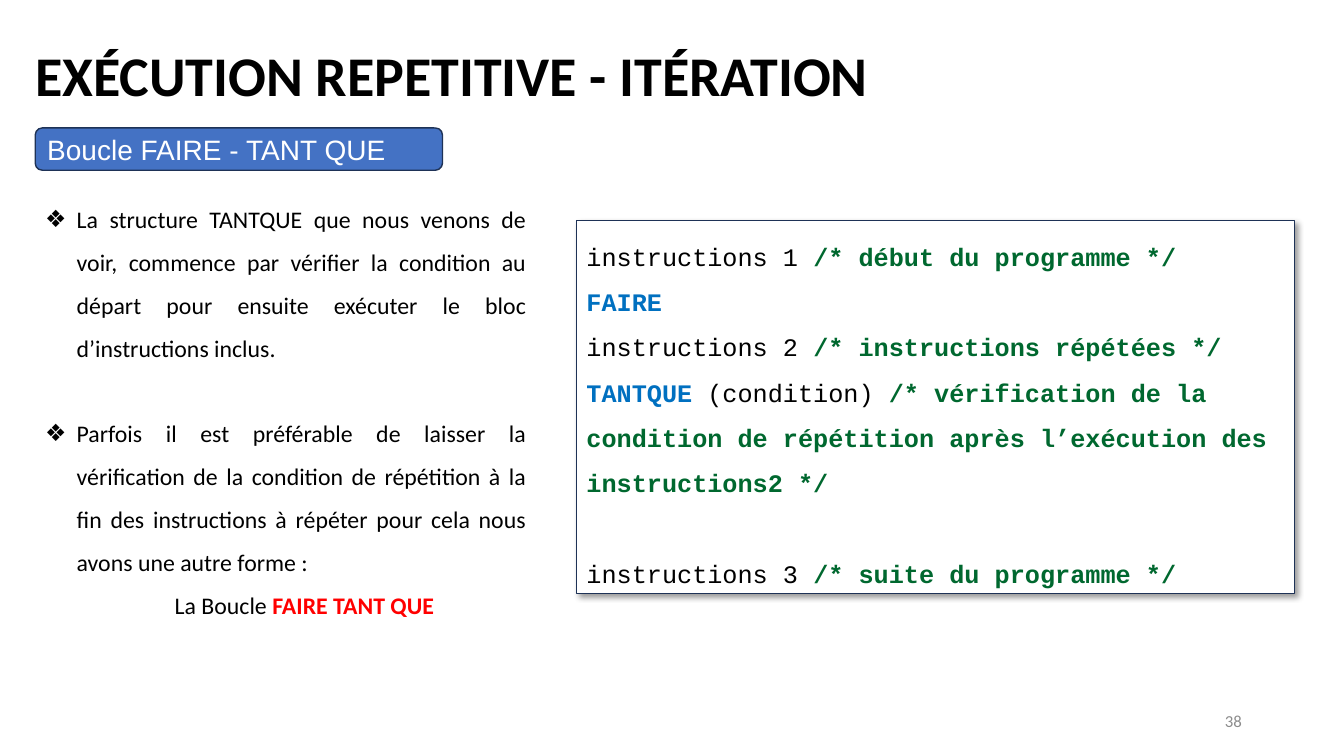
from dataclasses import dataclass

from lxml import etree
from pptx import Presentation
from pptx.dml.color import RGBColor
from pptx.enum.shapes import MSO_SHAPE
from pptx.enum.text import MSO_ANCHOR, MSO_AUTO_SIZE, PP_ALIGN
from pptx.oxml.ns import qn
from pptx.util import Pt

LEFT, CENTER, RIGHT = PP_ALIGN.LEFT, PP_ALIGN.CENTER, PP_ALIGN.RIGHT
JUSTIFY = PP_ALIGN.JUSTIFY
TOP, MIDDLE = MSO_ANCHOR.TOP, MSO_ANCHOR.MIDDLE
RECTANGLE, ROUNDED = MSO_SHAPE.RECTANGLE, MSO_SHAPE.ROUNDED_RECTANGLE
TITLE_ONLY = 5

BLACK, WHITE, RED = "000000", "FFFFFF", "FF0000"
GREY, GREEN, KEYWORD_BLUE = "8C8C8C", "00682F", "0070C0"
PILL_BLUE, NAVY = "4472C4", "1E3256"


@dataclass
class Run:
    text: str
    color: str = BLACK
    bold: bool = False


@dataclass
class Paragraph:
    runs: list[Run]
    align: PP_ALIGN = LEFT
    line_spacing: float = 1.0
    space_before: float = 0
    indent: float = 0
    bullet: str = ""


@dataclass
class Block:
    box: tuple[float, float, float, float]
    font: str
    size: float
    paragraphs: list[Paragraph]
    anchor: MSO_ANCHOR = TOP


@dataclass
class Panel:
    geometry: MSO_SHAPE
    fill: str
    line_width: float
    block: Block


def rgb(color: str) -> RGBColor:
    return RGBColor.from_string(color)


def place(shape, box: tuple[float, float, float, float]) -> None:
    for name, value in zip(("left", "top", "width", "height"), box):
        setattr(shape, name, Pt(value))


def add_bullet(paragraph, character: str, indent: float) -> None:
    properties = paragraph._p.get_or_add_pPr()
    properties.set("indent", str(-Pt(indent)))
    etree.SubElement(properties, qn("a:buFont")).set("typeface", "Arial")
    etree.SubElement(properties, qn("a:buChar")).set("char", character)


def write_text(shape, block: Block) -> None:
    frame = shape.text_frame
    frame_format = {"word_wrap": True, "auto_size": MSO_AUTO_SIZE.NONE,
                    "vertical_anchor": block.anchor}
    for name, value in frame_format.items():
        setattr(frame, name, value)
    for index, item in enumerate(block.paragraphs):
        paragraph = frame.add_paragraph() if index else frame.paragraphs[0]
        paragraph_format = {"alignment": item.align,
                            "line_spacing": item.line_spacing,
                            "space_before": Pt(item.space_before)}
        for name, value in paragraph_format.items():
            setattr(paragraph, name, value)
        if item.indent:
            paragraph._p.get_or_add_pPr().set("marL", str(Pt(item.indent)))
        if item.bullet:
            add_bullet(paragraph, item.bullet, item.indent)
        for part in item.runs:
            run = paragraph.add_run()
            run.text = part.text
            font_format = {"name": block.font, "size": Pt(block.size),
                           "bold": part.bold}
            for name, value in font_format.items():
                setattr(run.font, name, value)
            run.font.color.rgb = rgb(part.color)


def add_text(slide, block: Block) -> None:
    shape = slide.shapes.add_textbox(*map(Pt, block.box))
    write_text(shape, block)


def add_panel(slide, panel: Panel):
    shape = slide.shapes.add_shape(panel.geometry, *map(Pt, panel.block.box))
    shape.shadow.inherit = False
    shape.fill.solid()
    shape.fill.fore_color.rgb = rgb(panel.fill)
    shape.line.color.rgb = rgb(NAVY)
    shape.line.width = Pt(panel.line_width)
    write_text(shape, panel.block)
    return shape


def add_shadow(shape, blur: float, distance: float, angle: int, opacity: int) -> None:
    effects = shape._element.spPr.find(qn("a:effectLst"))
    shadow = etree.SubElement(effects, qn("a:outerShdw"), blurRad=str(Pt(blur)),
                              dist=str(Pt(distance)), dir=str(angle * 60000),
                              algn="tl", rotWithShape="0")
    color = etree.SubElement(shadow, qn("a:srgbClr"), val=BLACK)
    etree.SubElement(color, qn("a:alpha"), val=str(opacity * 1000))


def bullet_point(text: str, space_before: float = 0) -> Paragraph:
    return Paragraph([Run(text)], JUSTIFY, 1.5, space_before, 22.5, "❖")


def code_line(*runs: Run, space_before: float = 0) -> Paragraph:
    return Paragraph(list(runs), LEFT, 1.5, space_before)


def comment(text: str) -> Run:
    return Run(f"/* {text} */", GREEN, True)


def keyword(text: str) -> Run:
    return Run(text, KEYWORD_BLUE, True)


TITLE = Block((18, 25.2, 828, 55.4), "Calibri", 40,
              [Paragraph([Run("EXÉCUTION REPETITIVE - ITÉRATION", BLACK, True)])])
SUBTITLE = Panel(ROUNDED, PILL_BLUE, 1, Block(
    (25.2, 91.4, 290.9, 30.2), "Arial", 20,
    [Paragraph([Run("Boucle FAIRE - TANT QUE", WHITE)])], MIDDLE))
PAGE_NUMBER = Block((678.2, 500.4, 216, 28.8), "Calibri", 12,
                    [Paragraph([Run("38", GREY)], RIGHT)], MIDDLE)
EXPLANATION = Block((25.2, 132.5, 357.8, 344.2), "Calibri", 17, [
    bullet_point("La structure TANTQUE que nous venons de voir, commence par vérifier "
                 "la condition au départ pour ensuite exécuter le bloc "
                 "d’instructions inclus."),
    bullet_point("Parfois il est préférable de laisser la vérification de la condition "
                 "de répétition à la fin des instructions à répéter pour cela nous "
                 "avons une autre forme :", 30.6),
    Paragraph([Run("La Boucle "), Run("FAIRE TANT QUE", RED, True)],
              CENTER, 1.5, indent=26.7),
])
CODE = Panel(RECTANGLE, WHITE, 0.75, Block(
    (411.8, 157.7, 512.6, 266.4), "Courier New", 18, [
        code_line(Run("instructions 1 "), comment("début du programme")),
        code_line(keyword("FAIRE")),
        code_line(Run("instructions 2 "), comment("instructions répétées")),
        code_line(keyword("TANTQUE "), Run("(condition) "),
                  comment("vérification de la condition de répétition après "
                          "l’exécution des instructions2")),
        code_line(Run("instructions 3 "), comment("suite du programme"),
                  space_before=32.4),
    ]))


def main() -> None:
    presentation = Presentation()
    presentation.slide_width, presentation.slide_height = Pt(960), Pt(540)
    slide = presentation.slides.add_slide(presentation.slide_layouts[TITLE_ONLY])

    # Title and subtitle
    place(slide.shapes.title, TITLE.box)
    write_text(slide.shapes.title, TITLE)
    add_panel(slide, SUBTITLE)

    # Page number and explanation
    for block in (PAGE_NUMBER, EXPLANATION):
        add_text(slide, block)

    # Pseudocode
    code_panel = add_panel(slide, CODE)
    add_shadow(code_panel, blur=4, distance=3, angle=45, opacity=40)

    presentation.save("out.pptx")


if __name__ == "__main__":
    main()
